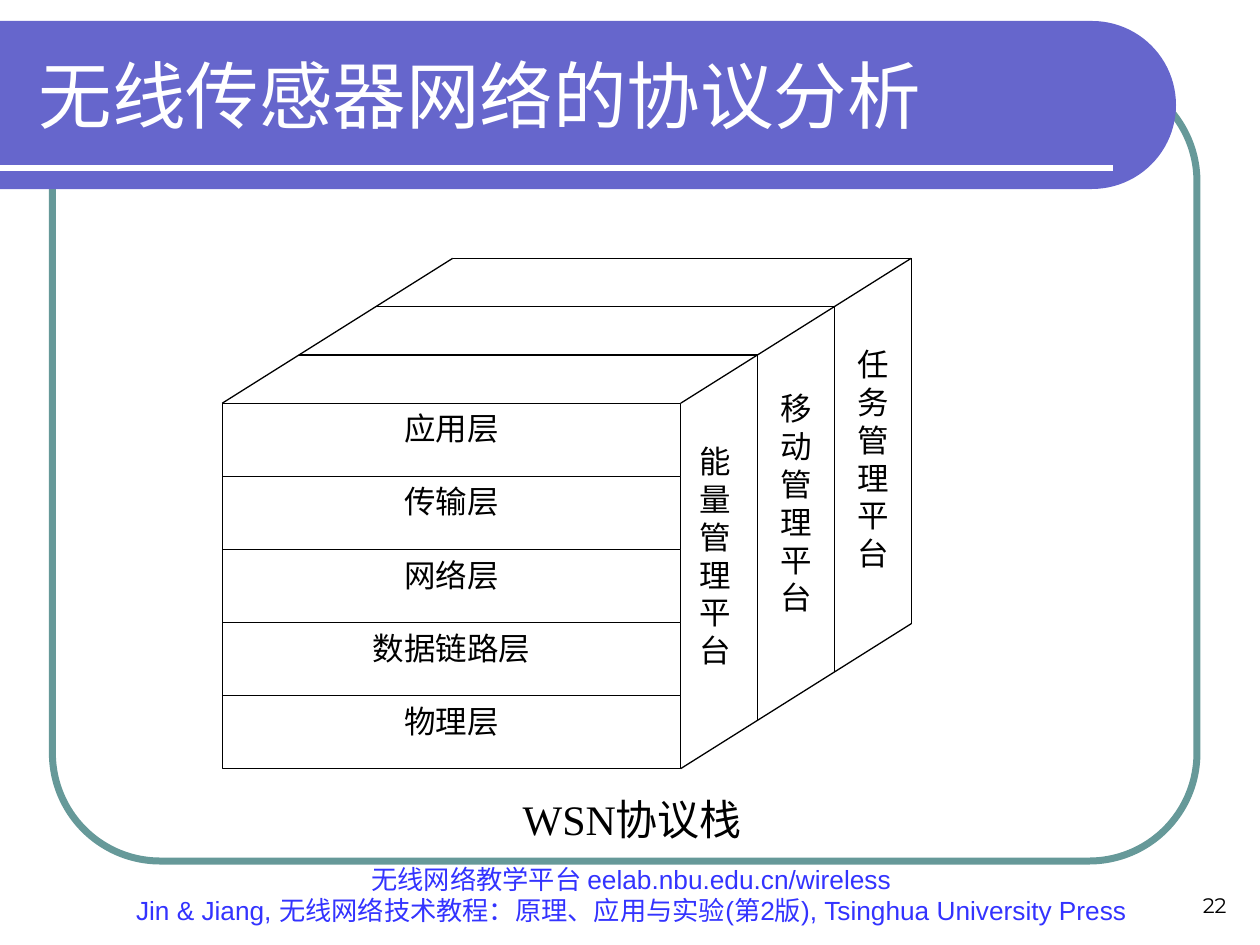
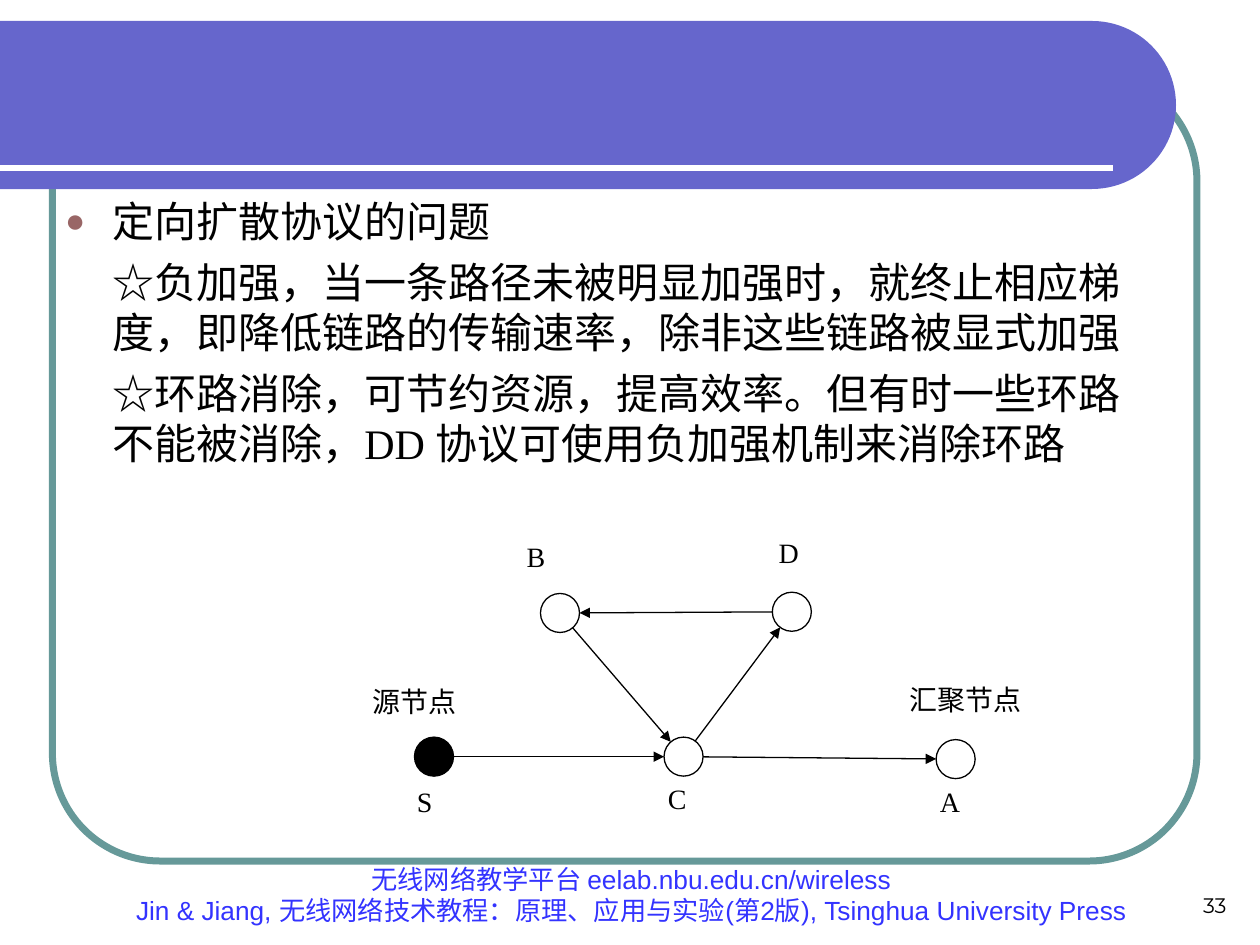
import math
from dataclasses import dataclass

import pptx
import pptx.dml.color
import pptx.enum.shapes
import pptx.enum.text
import pptx.oxml
import pptx.oxml.ns
import pptx.presentation
import pptx.shapes.autoshape
import pptx.shapes.connector
import pptx.slide
import pptx.text.text
import pptx.util

Pt = pptx.util.Pt
RGBColor = pptx.dml.color.RGBColor
MSO_SHAPE = pptx.enum.shapes.MSO_SHAPE
ANCHOR = pptx.enum.text.MSO_ANCHOR
ALIGN = pptx.enum.text.PP_ALIGN
qn = pptx.oxml.ns.qn

WHITE = RGBColor(0xFF, 0xFF, 0xFF)
BLACK = RGBColor(0x00, 0x00, 0x00)
BAND = RGBColor(0x66, 0x66, 0xCC)
FRAME = RGBColor(0x66, 0x99, 0x99)
FOOTER = RGBColor(0x33, 0x33, 0xFF)
BULLET = RGBColor(0x99, 0x66, 0x66)

SANS = "Arial"
SERIF = "Times New Roman"
NUMBER_FONT = "Montserrat"

THIN = 0.75
TITLE_ONLY, TITLE_AND_CONTENT = 5, 1

FOOTER_LINES = (
    "无线网络教学平台 eelab.nbu.edu.cn/wireless",
    "Jin & Jiang, 无线网络技术教程：原理、应用与实验(第2版), Tsinghua University Press",
)


@dataclass(frozen=True)
class Box:
    x: float
    y: float
    w: float
    h: float

    def lengths(self) -> tuple[int, int, int, int]:
        return Pt(self.x), Pt(self.y), Pt(self.w), Pt(self.h)


@dataclass(frozen=True)
class Style:
    size: float
    font: str = SERIF
    color: RGBColor = BLACK
    align: ALIGN = ALIGN.LEFT


@dataclass(frozen=True)
class Label:
    text: str
    box: Box


@dataclass(frozen=True)
class Node:
    x: float
    y: float
    fill: RGBColor = WHITE


LAYER = Style(18, align=ALIGN.CENTER)
NODE_LABEL = Style(16)
BODY = Style(24)

LAYERS = ("应用层", "传输层", "网络层", "数据链路层", "物理层")
FACE = Box(127, 230.4, 262, 208.8)
DEPTH_STEP = (43.9, -27.6)
PANELS = (
    Label("能量管理平台", Box(393, 252.7, 31.7, 157.7)),
    Label("移动管理平台", Box(439.2, 222.5, 31.7, 157.7)),
    Label("任务管理平台", Box(483.1, 197.3, 31.7, 157.7)),
)

RADIUS = 11.16
NODES = {
    "C": Node(390.6, 432.4),
    "S": Node(248, 432.4, BLACK),
    "A": Node(546.1, 433.8),
    "B": Node(320, 350.3),
    "D": Node(452.5, 349.6),
}
ROUTES = ("SC", "CA", "CD", "DB", "BC")
NODE_LABELS = (
    Label("B", Box(301, 308.2, 19, 24.5)),
    Label("D", Box(445, 306, 19, 24.5)),
    Label("S", Box(238.3, 448.6, 19, 24.5)),
    Label("C", Box(381.6, 446.4, 19, 24.5)),
    Label("A", Box(537.1, 448.6, 19, 24.5)),
    Label("源节点", Box(213.1, 391, 62.6, 25.9)),
    Label("汇聚节点", Box(519.8, 390.2, 79.9, 25.9)),
)


def add_run(p: pptx.text.text._Paragraph, text: str, style: Style) -> None:
    p.alignment = style.align
    r = p.add_run()
    r.text = text
    r.font.size = Pt(style.size)
    r.font.name = style.font
    r.font.color.rgb = style.color


def write(tf: pptx.text.text.TextFrame, lines: tuple[str, ...], style: Style,
          anchor: ANCHOR, inset: bool = True) -> None:
    tf.word_wrap = True
    tf.auto_size = pptx.enum.text.MSO_AUTO_SIZE.NONE
    tf.vertical_anchor = anchor
    tf.margin_left = tf.margin_right = Pt(7.2 if inset else 0)
    tf.margin_top = tf.margin_bottom = Pt(3.6 if inset else 0)
    for i, line in enumerate(lines):
        add_run(tf.add_paragraph() if i else tf.paragraphs[0], line, style)


def add_text(s: pptx.slide.Slide, box: Box, lines: tuple[str, ...], style: Style,
             anchor: ANCHOR) -> pptx.shapes.autoshape.Shape:
    sp = s.shapes.add_textbox(*box.lengths())
    write(sp.text_frame, lines, style, anchor)
    return sp


def add_shape(s: pptx.slide.Slide, kind: MSO_SHAPE, box: Box, fill: RGBColor | None,
              line: RGBColor | None, width: float = THIN) -> pptx.shapes.autoshape.Shape:
    sp = s.shapes.add_shape(kind, *box.lengths())
    sp.shadow.inherit = False
    if fill is None:
        sp.fill.background()
    else:
        sp.fill.solid()
        sp.fill.fore_color.rgb = fill
    if line is None:
        sp.line.fill.background()
    else:
        sp.line.color.rgb = line
        sp.line.width = Pt(width)
    return sp


def add_label(s: pptx.slide.Slide, label: Label, style: Style) -> None:
    sp = add_shape(s, MSO_SHAPE.RECTANGLE, label.box, WHITE, None)
    write(sp.text_frame, (label.text,), style, ANCHOR.TOP, inset=False)


def add_line(s: pptx.slide.Slide, start: tuple[float, float], end: tuple[float, float],
             color: RGBColor = BLACK, width: float = THIN,
             arrow: bool = False) -> pptx.shapes.connector.Connector:
    c = s.shapes.add_connector(pptx.enum.shapes.MSO_CONNECTOR.STRAIGHT,
                               *(Pt(v) for v in start + end))
    c.line.color.rgb = color
    c.line.width = Pt(width)
    spPr = c.element.spPr
    if arrow:
        tail = pptx.oxml.parse_xml(f'<a:tailEnd {pptx.oxml.ns.nsdecls("a")} type="triangle"/>')
        spPr.find(qn("a:ln")).append(tail)
    spPr.append(pptx.oxml.parse_xml(f'<a:effectLst {pptx.oxml.ns.nsdecls("a")}/>'))
    return c


def add_band(s: pptx.slide.Slide) -> pptx.shapes.autoshape.Shape:
    cx, cy, radius, steps = 624, 60, 48, 48
    angles = (math.pi * (i / steps - 0.5) for i in range(steps + 1))
    arc = [(cx + radius * math.cos(a), cy + radius * math.sin(a)) for a in angles]
    fb = s.shapes.build_freeform(0, Pt(cy - radius))
    fb.add_line_segments([(Pt(x), Pt(y)) for x, y in arc + [(0, cy + radius)]], close=True)
    sp = fb.convert_to_shape()
    sp.shadow.inherit = False
    sp.fill.solid()
    sp.fill.fore_color.rgb = BAND
    sp.line.fill.background()
    return sp


def dress_master(prs: pptx.presentation.Presentation, s: pptx.slide.Slide) -> None:
    frame = add_shape(s, MSO_SHAPE.ROUNDED_RECTANGLE, Box(30, 42, 654, 450), None, FRAME, 4)
    frame.adjustments[0] = 0.137
    band = add_band(s)
    rule = add_line(s, (0, 96), (636, 96), WHITE, 3)
    footer = add_text(s, Box(55.4, 502.6, 610.6, 30.2), FOOTER_LINES,
                      Style(15, SANS, FOOTER, ALIGN.CENTER), ANCHOR.BOTTOM)
    tree = prs.slide_master.shapes.element
    for i, sp in enumerate((frame, band, rule, footer), start=100):
        sp.element.xpath(".//p:cNvPr")[0].set("id", str(i))
        tree.append(sp.element)


def add_number(s: pptx.slide.Slide, number: str) -> None:
    add_text(s, Box(540, 492, 168, 36), (number,),
             Style(12, NUMBER_FONT, align=ALIGN.RIGHT), ANCHOR.BOTTOM)


def place(sp: pptx.shapes.autoshape.Shape, box: Box) -> None:
    sp.left, sp.top, sp.width, sp.height = box.lengths()


def indent(p: pptx.text.text._Paragraph, bullet: bool) -> None:
    pPr = p._p.get_or_add_pPr()
    pPr.set("marL", str(Pt(27)))
    pPr.set("indent", str(Pt(-27 if bullet else 0)))
    marks = ("buNone",)
    if bullet:
        marks = (
            f'buClr><a:srgbClr val="{BULLET}"/></a:buClr',
            'buSzPct val="80000"',
            'buChar char="●"',
        )
    ns = pptx.oxml.ns.nsdecls("a")
    for mark in marks:
        tag = mark if mark.endswith("</a:buClr") else mark + "/"
        holder = pptx.oxml.parse_xml(f"<a:pPr {ns}><a:{tag}></a:pPr>")
        pPr.append(holder[0])


def draw_stack(s: pptx.slide.Slide) -> None:
    row = FACE.h / len(LAYERS)
    for i, layer in enumerate(LAYERS):
        box = Box(FACE.x, FACE.y + i * row, FACE.w, row)
        sp = add_shape(s, MSO_SHAPE.RECTANGLE, box, WHITE, BLACK)
        write(sp.text_frame, (layer,), LAYER, ANCHOR.TOP)
    right, bottom = FACE.x + FACE.w, FACE.y + FACE.h
    dx, dy = DEPTH_STEP
    count = len(PANELS)
    for x, y in ((FACE.x, FACE.y), (right, FACE.y), (right, bottom)):
        add_line(s, (x, y), (x + count * dx, y + count * dy))
    for k in range(1, count + 1):
        corner = (right + k * dx, FACE.y + k * dy)
        add_line(s, (FACE.x + k * dx, corner[1]), corner)
        add_line(s, corner, (corner[0], bottom + k * dy))
    for panel in PANELS:
        add_label(s, panel, LAYER)


def draw_routes(s: pptx.slide.Slide) -> None:
    for node in NODES.values():
        box = Box(node.x - RADIUS, node.y - RADIUS, 2 * RADIUS, 2 * RADIUS)
        add_shape(s, MSO_SHAPE.OVAL, box, node.fill, BLACK)
    for source, target in ROUTES:
        a, b = NODES[source], NODES[target]
        angle = math.atan2(b.y - a.y, b.x - a.x)
        ox, oy = RADIUS * math.cos(angle), RADIUS * math.sin(angle)
        add_line(s, (a.x + ox, a.y + oy), (b.x - ox, b.y - oy), arrow=True)
    for label in NODE_LABELS:
        add_label(s, label, NODE_LABEL)


def build_stack_slide(prs: pptx.presentation.Presentation) -> None:
    s = prs.slides.add_slide(prs.slide_layouts[TITLE_ONLY])
    dress_master(prs, s)
    title = s.shapes.title
    place(title, Box(15, 18, 631.5, 72))
    write(title.text_frame, ("无线传感器网络的协议分析",), Style(42, SANS, WHITE), ANCHOR.MIDDLE)
    add_number(s, "22")
    draw_stack(s)
    caption = add_text(s, Box(291.6, 450, 149, 36), ("WSN协议栈",), BODY, ANCHOR.MIDDLE)
    caption.text_frame.word_wrap = False


def build_diffusion_slide(prs: pptx.presentation.Presentation) -> None:
    s = prs.slides.add_slide(prs.slide_layouts[TITLE_AND_CONTENT])
    title = s.shapes.title.element
    title.getparent().remove(title)
    add_number(s, "33")
    body = s.placeholders[1]
    place(body, Box(30, 108, 624, 180))
    lines = (
        "定向扩散协议的问题",
        "☆负加强，当一条路径未被明显加强时，就终止相应梯度，即降低链路的传输速率，除非这些链路被显式加强",
        "☆环路消除，可节约资源，提高效率。但有时一些环路不能被消除，DD 协议可使用负加强机制来消除环路",
    )
    write(body.text_frame, lines, BODY, ANCHOR.TOP)
    for i, p in enumerate(body.text_frame.paragraphs):
        indent(p, bullet=i == 0)
        p.space_before = Pt(6 if i else 0)
    body.text_frame.paragraphs[0].runs[0].font.name = SANS
    draw_routes(s)


def main() -> None:
    prs = pptx.Presentation()
    prs.slide_width, prs.slide_height = Pt(720), Pt(540)
    build_stack_slide(prs)
    build_diffusion_slide(prs)
    prs.save("out.pptx")


if __name__ == "__main__":
    main()
